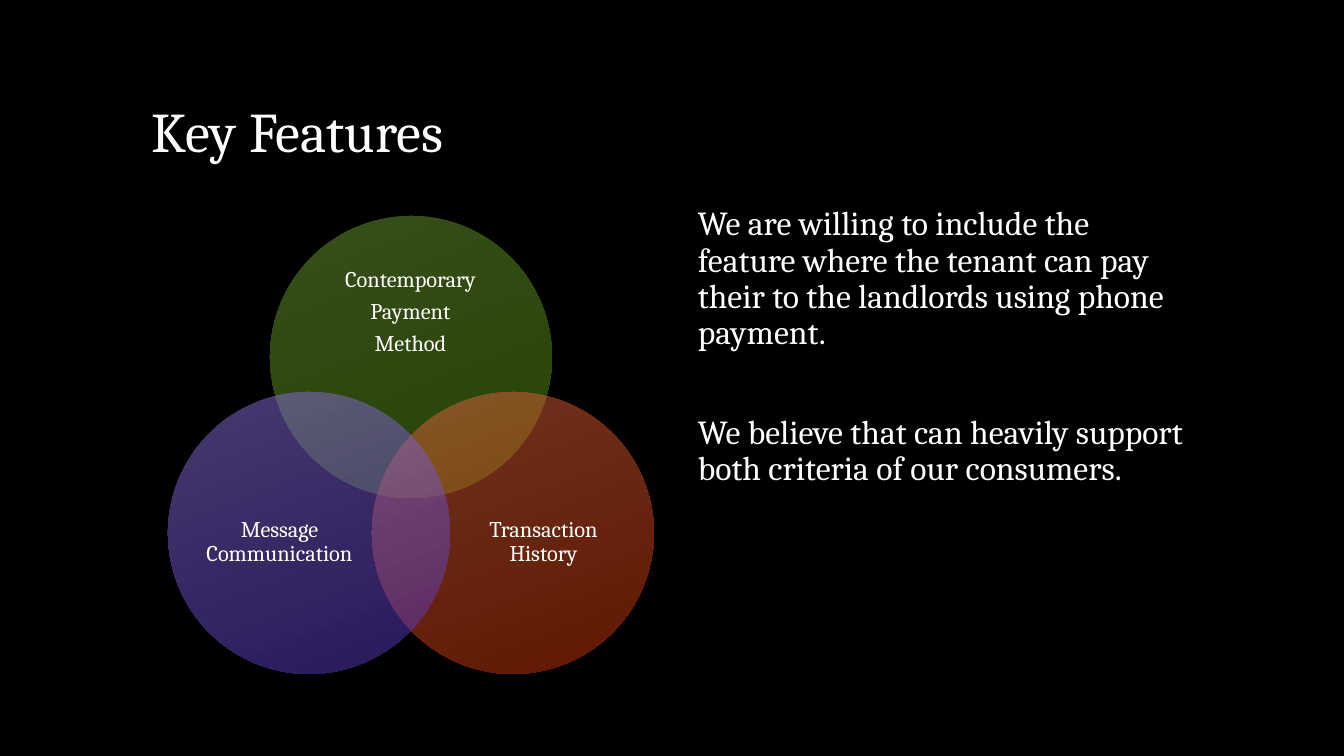
"""Build the Key Features slide with its three-circle Venn diagram."""
from lxml import etree
from pptx import Presentation
from pptx.dml.color import RGBColor
from pptx.enum.shapes import MSO_SHAPE
from pptx.enum.text import MSO_ANCHOR, PP_ALIGN
from pptx.oxml.ns import qn
from pptx.util import Pt

SCALE = 914400 / 100.8
OVAL = MSO_SHAPE.OVAL
TOP, MIDDLE, BOTTOM = MSO_ANCHOR.TOP, MSO_ANCHOR.MIDDLE, MSO_ANCHOR.BOTTOM
LEFT, CENTER = PP_ALIGN.LEFT, PP_ALIGN.CENTER
BLACK = RGBColor(0x00, 0x00, 0x00)
WHITE = RGBColor(0xFF, 0xFF, 0xFF)
LIGHT_GREEN, GREEN = RGBColor(0x6E, 0x9D, 0x35), RGBColor(0x4E, 0x88, 0x08)
LIGHT_RED, RED = RGBColor(0xDE, 0x67, 0x42), RGBColor(0xC2, 0x30, 0x02)
LIGHT_PURPLE, PURPLE = RGBColor(0x8F, 0x73, 0xDF), RGBColor(0x53, 0x31, 0xB6)
DIAMETER = 282


def px(*lengths):
    return [round(length * SCALE) for length in lengths]


def add_text(page, bounds, lines, size, anchor, align=LEFT, spacing=0.9, before=0, after=0):
    box = page.shapes.add_textbox(*px(*bounds))
    frame = box.text_frame
    frame.word_wrap = True
    frame.vertical_anchor = anchor
    for index, line in enumerate(lines):
        para = frame.add_paragraph() if index else frame.paragraphs[0]
        para.text = line
        para.alignment = align
        para.line_spacing = spacing
        para.space_before = Pt(before if index else 0)
        para.space_after = Pt(after)
        para.font.name = "Cambria"
        para.font.size = Pt(size)
        para.font.color.rgb = WHITE
    return frame


deck = Presentation()
deck.slide_width, deck.slide_height = px(1344, 756)
page = deck.slides.add_slide(deck.slide_layouts[6])
page.background.fill.solid()
page.background.fill.fore_color.rgb = BLACK

add_text(page, (142, 42, 1058, 126), ["Key Features"], 40, BOTTOM, spacing=0.8)

circles = [
    (270, 216, LIGHT_GREEN, GREEN, (307, 265, 207, 95), ["Contemporary", "Payment", "Method"]),
    (372, 392, LIGHT_RED, RED, (459, 465, 169, 155), ["Transaction History"]),
    (168, 392, LIGHT_PURPLE, PURPLE, (195, 465, 169, 155), ["Message Communication"]),
]
for left, top, light, dark, label_bounds, label in circles:
    circle = page.shapes.add_shape(OVAL, *px(left, top, DIAMETER, DIAMETER))
    circle.shadow.inherit = False
    circle.line.fill.background()
    circle.fill.gradient()
    circle.fill.gradient_angle = 291
    for stop, color in zip(circle.fill.gradient_stops, (light, dark)):
        stop.color.rgb = color
    for color_element in circle._element.spPr.iter(qn("a:srgbClr")):
        etree.SubElement(color_element, qn("a:alpha")).set("val", "50000")
    frame = add_text(page, label_bounds, label, 16, MIDDLE, CENTER, after=5.6)
    frame.margin_left = frame.margin_right = frame.margin_top = frame.margin_bottom = 0

add_text(page, (688, 202, 512, 479), [
    "We are willing to include the feature where the tenant can pay "
    "their to the landlords using phone payment.",
    "We believe that can heavily support both criteria of our consumers.",
], 24, TOP, before=45)

deck.save("out.pptx")
